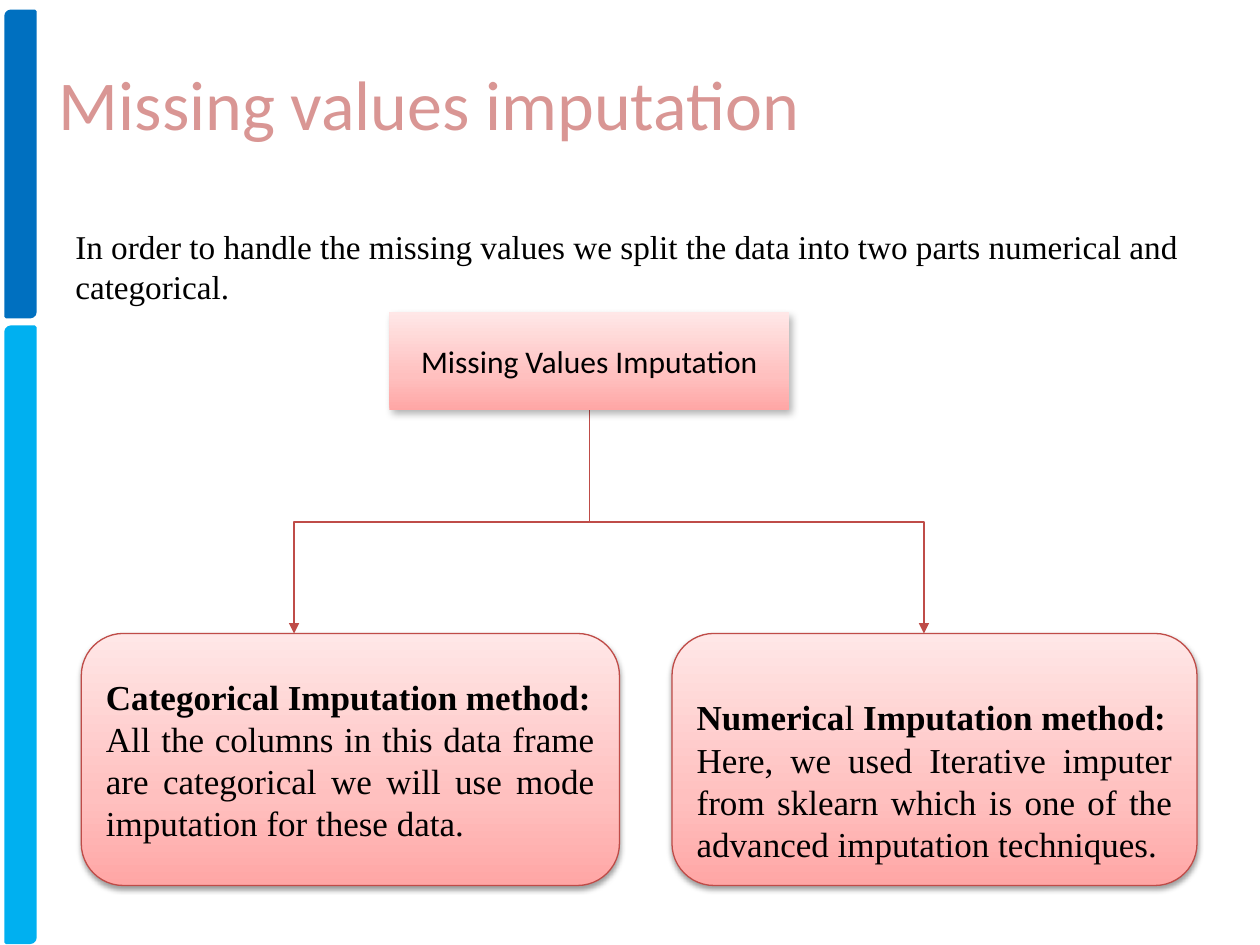
from copy import deepcopy

from lxml.etree import SubElement
from pptx import Presentation
from pptx.dml.color import RGBColor
from pptx.enum.shapes import MSO_CONNECTOR, MSO_SHAPE
from pptx.enum.text import MSO_ANCHOR, PP_ALIGN
from pptx.oxml.ns import qn
from pptx.util import Pt

BLACK = RGBColor(0x00, 0x00, 0x00)
ROSE = RGBColor(0xD9, 0x96, 0x94)
RED = RGBColor(0xBF, 0x4C, 0x48)
BLUE = RGBColor(0x00, 0x70, 0xC0)
SKY = RGBColor(0x00, 0xB0, 0xF0)
PINKS = [(0, RGBColor(0xFF, 0xA6, 0xA5)),
         (0.35, RGBColor(0xFF, 0xC0, 0xBF)),
         (1, RGBColor(0xFF, 0xE7, 0xE7))]
SERIF = "Times New Roman"
SANS = "Calibri"


def add_run(p, text, size, font, color=BLACK, bold=False):
    r = p.add_run()
    r.text = text
    r.font.size = Pt(size)
    r.font.name = font
    r.font.color.rgb = color
    r.font.bold = bold


def add_pink_box(kind, left, top, width, height, alpha, blur, dist, angle):
    sp = s.shapes.add_shape(kind, Pt(left), Pt(top), Pt(width), Pt(height))
    sp.fill.gradient()
    sp.fill.gradient_angle = 90
    first = sp.fill.gradient_stops[0]
    gs_list = sp.element.spPr.find(qn("a:gradFill")).find(qn("a:gsLst"))
    gs_list.append(deepcopy(gs_list[0]))
    for stop, (position, color) in zip(sp.fill.gradient_stops, PINKS):
        stop.position = position
        stop.color.rgb = color
    sp.shadow.inherit = False
    effects = sp.element.spPr.find(qn("a:effectLst"))
    shadow = SubElement(effects, qn("a:outerShdw"), blurRad=str(Pt(blur)),
                        dist=str(Pt(dist)), dir=str(angle * 60000), rotWithShape="0")
    black = SubElement(shadow, qn("a:srgbClr"), val="000000")
    SubElement(black, qn("a:alpha"), val=str(alpha * 1000))
    sp.text_frame.word_wrap = True
    sp.text_frame.vertical_anchor = MSO_ANCHOR.MIDDLE
    return sp


prs = Presentation()
prs.slide_width, prs.slide_height = Pt(720), Pt(540)
s = prs.slides.add_slide(prs.slide_layouts[5])

for top, height, color in [(6.5, 174.5, BLUE), (187, 351.5, SKY)]:
    sp = s.shapes.add_shape(MSO_SHAPE.ROUND_2_DIAG_RECTANGLE,
                            Pt(3.5), Pt(top), Pt(16.5), Pt(height))
    sp.fill.solid()
    sp.fill.fore_color.rgb = color
    sp.line.color.rgb = color
    sp.line.width = Pt(2)
    sp.shadow.inherit = False

title = s.shapes.title
title.left, title.top, title.width, title.height = Pt(26.5), Pt(31), Pt(474), Pt(55.5)
title.text_frame.vertical_anchor = MSO_ANCHOR.TOP
p = title.text_frame.paragraphs[0]
p.alignment = PP_ALIGN.LEFT
add_run(p, "Missing values imputation", 40, SANS, ROSE)

intro = s.shapes.add_textbox(Pt(36), Pt(126), Pt(648), Pt(356.5))
intro.text_frame.word_wrap = True
p = intro.text_frame.paragraphs[0]
p.space_before = Pt(3.8)
add_run(p, "In order to handle the missing values we split the data into two parts "
           "numerical and categorical.", 19, SERIF)

ROOT_X, ROOT_Y, BOX_TOP = 337, 234.5, 362
drop = BOX_TOP - ROOT_Y
for target_x, rotation in [(168, 90), (528, 270)]:
    spread = abs(target_x - ROOT_X)
    left = (ROOT_X + target_x - drop) / 2
    top = (ROOT_Y + BOX_TOP - spread) / 2
    ends = [left, left + drop]
    if target_x > ROOT_X:
        ends.reverse()
    c = s.shapes.add_connector(MSO_CONNECTOR.ELBOW, Pt(ends[0]), Pt(top),
                               Pt(ends[1]), Pt(top + spread))
    c.line.color.rgb = RED
    c.line.width = Pt(0.75)
    spPr = c.element.spPr
    spPr.find(qn("a:xfrm")).set("rot", str(rotation * 60000))
    SubElement(spPr.find(qn("a:ln")), qn("a:tailEnd"), type="triangle")
    SubElement(spPr, qn("a:effectLst"))

root = add_pink_box(MSO_SHAPE.RECTANGLE, 222.5, 178.5, 228.5, 56, 30, 4.5, 2.6, 53)
root.line.fill.background()
p = root.text_frame.paragraphs[0]
p.alignment = PP_ALIGN.CENTER
add_run(p, "Missing Values Imputation", 18, SANS)

methods = [
    (46.5, 307.5, 3.6, [("Categorical Imputation method:", True)],
     "All the columns in this data frame are categorical we will use mode "
     "imputation for these data."),
    (384, 300, 27, [("Numerica", True), ("l ", False), ("Imputation method:", True)],
     "Here, we used Iterative imputer from sklearn which is one of the advanced "
     "imputation techniques."),
]
for left, width, inset_top, heading, body in methods:
    sp = add_pink_box(MSO_SHAPE.ROUNDED_RECTANGLE, left, BOX_TOP, width, 144, 38, 3.1, 1.6, 90)
    sp.line.color.rgb = RED
    sp.line.width = Pt(0.75)
    tf = sp.text_frame
    tf.margin_top = Pt(inset_top)
    p = tf.paragraphs[0]
    p.alignment = PP_ALIGN.LEFT
    for text, bold in heading:
        add_run(p, text, 20, SERIF, bold=bold)
    p = tf.add_paragraph()
    p.alignment = PP_ALIGN.JUSTIFY
    add_run(p, body, 20, SERIF)

prs.save("out.pptx")
